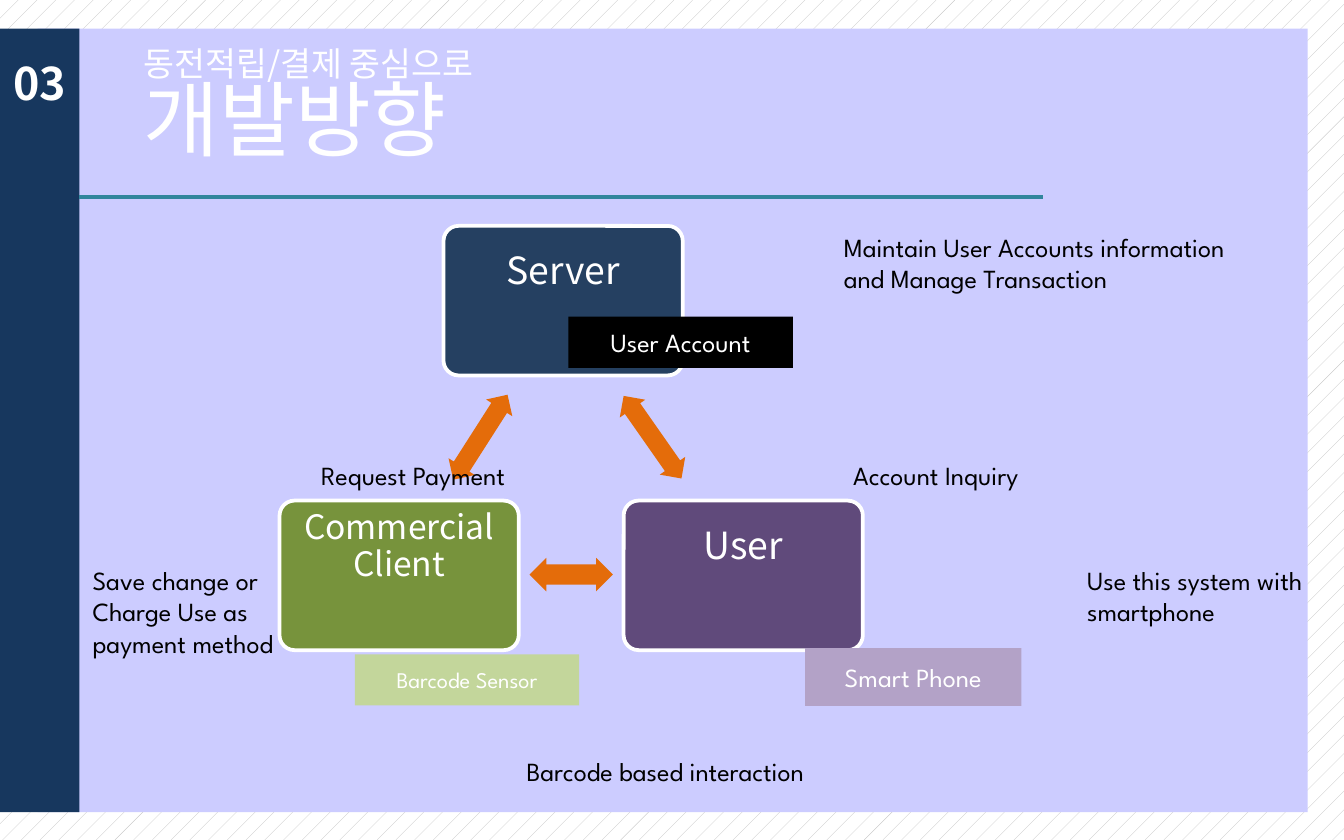
from pptx import Presentation
from pptx.dml.color import RGBColor
from pptx.enum.dml import MSO_PATTERN
from pptx.enum.shapes import MSO_CONNECTOR, MSO_SHAPE
from pptx.enum.text import MSO_ANCHOR, PP_ALIGN
from pptx.oxml.ns import qn
from pptx.util import Inches, Pt
from lxml.etree import SubElement

THEME = {
    "kr": "Noto Sans CJK KR", "latin": "League Spartan",
    "white": "FFFFFF", "black": "000000", "hatch": "BFBFBF",
    "panel": "CCCCFF", "navy": "17375E", "rule": "31859C", "arrow": "E46C0A",
    "title": 44.1, "number": 24, "node": 20, "small_node": 18, "body": 14, "small": 12,
}

# All positions are percentages of the slide's width and height.
PANEL = (2.8, 3.4, 94.5, 93.3)
SIDEBAR = (0, 3.4, 5.9, 93.3)
RULE_Y, RULE_END = 23.5, 77.6
TITLE_BOX = (9.7, 4.6, 52.1, 16.6)
TITLE = [("동전적립/결제 중심으로", "small_node"), ("개발방향", "title")]
NUMBER, NUMBER_BOX = "03", (0, 5.9, 6.7, 8)

NODE_SIZE = (17.8, 17.8)
LOWER_ROW = 59.6
NODES = [  # name, left, top, fill, size
    ("Server", 33, 26.9, "254061", "node"),
    ("User", 46.4, LOWER_ROW, "604A7B", "node"),
    ("Commercial Client", 20.8, LOWER_ROW, "77933C", "small_node"),
]
ARROWS = [  # box, rotation
    ((44.8, 50.2, 7.5, 3.7), 55),
    ((39.4, 66.4, 6.2, 4), 180),
    ((32, 50.2, 7.5, 3.7), 302.6),
]
TAGS = [  # text, box, fill, size
    ("User Account", (42.3, 37.7, 16.7, 6.1), "000000", "body"),
    ("Smart Phone", (59.9, 77.15, 16.1, 6.9), "B3A2C7", "body"),
    ("Barcode Sensor", (26.4, 77.9, 16.7, 6.1), "C3D69B", "small"),
]
NOTES = [  # paragraphs, box, wrap
    (["Maintain User Accounts information", "and Manage Transaction"],
     (61.8, 26.7, 35.7, 9.1), False),
    (["Use this system with smartphone"], (79.9, 66.4, 18.1, 9.1), True),
    (["Save change or Charge Use as payment method"], (5.9, 66.4, 18.1, 16.6), True),
    (["Account Inquiry"], (62.5, 53.9, 17.1, 5.4), False),
    (["Request Payment"], (22.9, 53.9, 18.8, 5.4), False),
    (["Barcode based interaction"], (38.2, 89.1, 27.7, 5.4), False),
]

prs = Presentation()
prs.slide_width, prs.slide_height = Inches(10), Inches(6.25)
s = prs.slides.add_slide(prs.slide_layouts[6])


def rgb(name):
    return RGBColor.from_string(THEME.get(name, name))


def across(share):
    return int(prs.slide_width * share / 100)


def down(share):
    return int(prs.slide_height * share / 100)


def place(box):
    x, y, w, h = box
    return across(x), down(y), across(w), down(h)


def style(font, size, color="white", face="latin", bold=False):
    font.size, font.name, font.bold = Pt(THEME[size]), THEME[face], bold
    font.color.rgb = rgb(color)
    for tag in ("a:ea", "a:cs"):
        SubElement(font._element, qn(tag)).set("typeface", THEME[face])


def add_block(kind, box, fill):
    sp = s.shapes.add_shape(kind, *place(box))
    sp.shadow.inherit = False
    sp.fill.solid()
    sp.fill.fore_color.rgb = rgb(fill)
    sp.line.fill.background()
    return sp


def add_text(paragraphs, box, size, wrap=True, **look):
    tf = s.shapes.add_textbox(*place(box)).text_frame
    tf.word_wrap = wrap
    tf.text = "\n".join(paragraphs)
    for p in tf.paragraphs:
        for r in p.runs:
            style(r.font, size, **look)
    return tf


def center_text(sp, text, size, face="latin"):
    tf = sp.text_frame
    tf.word_wrap = True
    tf.vertical_anchor = MSO_ANCHOR.MIDDLE
    tf.text = text
    p = tf.paragraphs[0]
    p.alignment = PP_ALIGN.CENTER
    style(p.runs[0].font, size, face=face)
    return tf


def add_node(name, left, top, fill, size):
    sp = add_block(MSO_SHAPE.ROUNDED_RECTANGLE, (left, top, *NODE_SIZE), fill)
    sp.adjustments[0] = 0.1
    sp.line.color.rgb = rgb("white")
    sp.line.width = Pt(2)
    tf = center_text(sp, name, size, "kr")
    tf.margin_left = tf.margin_right = Inches(0.08)
    tf.margin_top, tf.margin_bottom = 0, Inches(0.42)
    tf.paragraphs[0].line_spacing = 0.9


bg = s.background.fill
bg.patterned()
bg.pattern = MSO_PATTERN.PERCENT_5
bg.fore_color.rgb, bg.back_color.rgb = rgb("hatch"), rgb("white")

add_block(MSO_SHAPE.RECTANGLE, PANEL, "panel")
tf = add_text(["\v".join(text for text, _ in TITLE)], TITLE_BOX, "title", face="kr")
tf.vertical_anchor = MSO_ANCHOR.MIDDLE
tf.paragraphs[0].line_spacing = 0.85
for r, (_, size) in zip(tf.paragraphs[0].runs, TITLE):
    r.font.size = Pt(THEME[size])

add_block(MSO_SHAPE.RECTANGLE, SIDEBAR, "navy")
rule = s.shapes.add_connector(MSO_CONNECTOR.STRAIGHT, across(SIDEBAR[2]), down(RULE_Y),
                              across(RULE_END), down(RULE_Y))
rule.line.color.rgb = rgb("rule")
rule.line.width = Pt(2.25)
SubElement(rule._element.spPr, qn("a:effectLst"))
add_text([NUMBER], NUMBER_BOX, "number", face="kr", bold=True)

for node in NODES:
    add_node(*node)
for box, rotation in ARROWS:
    sp = add_block(MSO_SHAPE.LEFT_RIGHT_ARROW, box, "arrow")
    sp.adjustments[0], sp.adjustments[1] = 0.6, 0.5
    sp.rotation = rotation
for text, box, fill, size in TAGS:
    center_text(add_block(MSO_SHAPE.RECTANGLE, box, fill), text, size)
for paragraphs, box, wrap in NOTES:
    add_text(paragraphs, box, "body", wrap, color="black")

prs.save("out.pptx")
